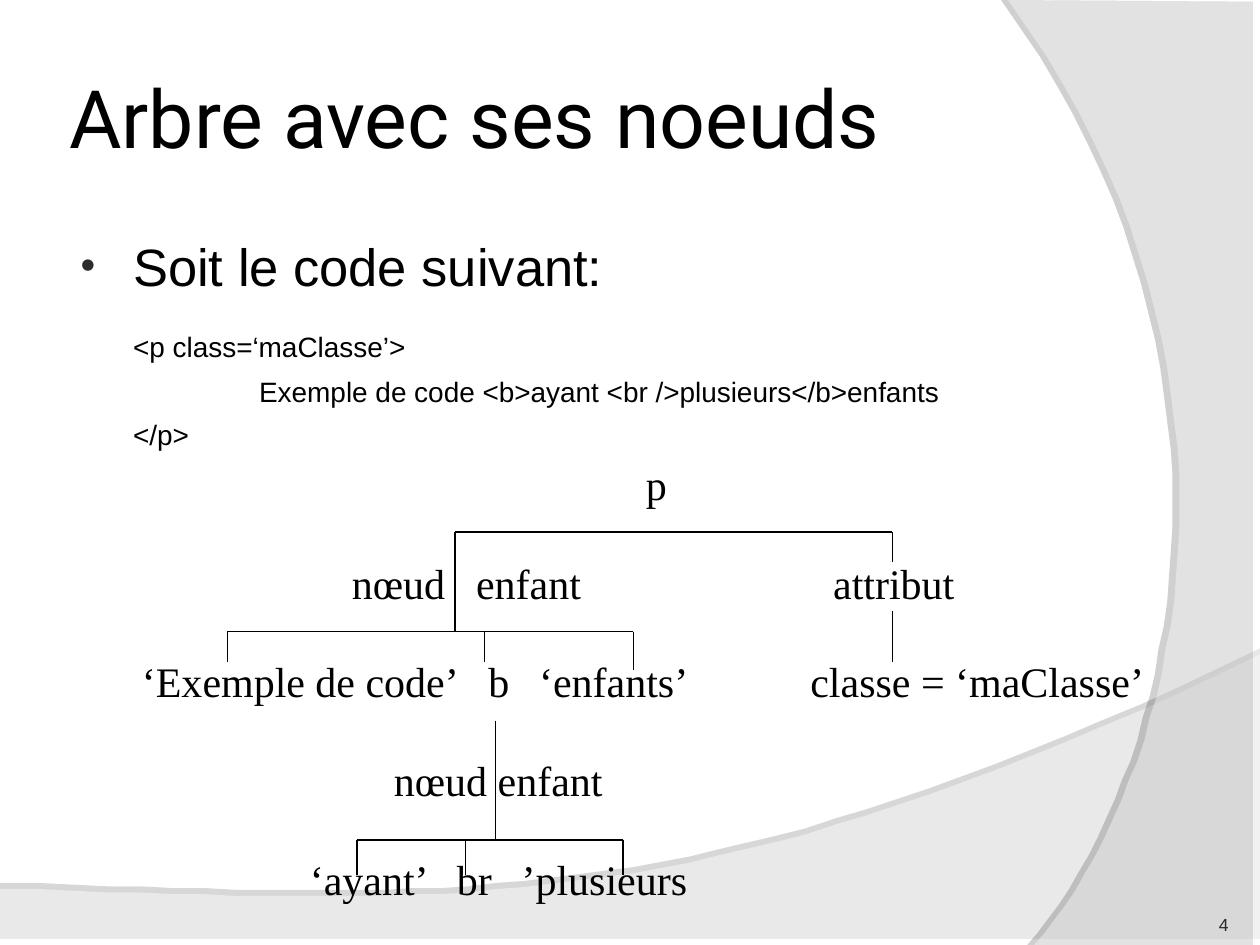
from lxml import etree
from pptx import Presentation
from pptx import util as u
from pptx.dml.color import RGBColor
from pptx.enum import shapes, text
from pptx.oxml import ns

Pt = u.Pt
BLACK = RGBColor(0, 0, 0)
WHITE = RGBColor(255, 255, 255)
GREY = RGBColor(0x29, 0x29, 0x29)
DOT = RGBColor(0x2C, 0x2C, 0x2C)


def sub(node, tag, **attrs):
    child = etree.SubElement(node, ns.qn("a:" + tag))
    for key, val in attrs.items():
        child.set(key, str(val))
    return child


def curve(start, one, two, end, steps=40):
    points = []
    for n in range(1, steps + 1):
        t = n / steps
        s = 1 - t
        points.append(tuple(
            s**3 * a + 3 * s * s * t * b + 3 * s * t * t * c + t**3 * d
            for a, b, c, d in zip(start, one, two, end)))
    return points


class Deck:
    sans = "Arial"
    serif = "Times New Roman"
    head = "Roboto"

    def __init__(self, wide, high):
        self.prs = Presentation()
        self.prs.slide_width, self.prs.slide_height = Pt(wide), Pt(high)
        self.slide = self.prs.slides.add_slide(self.prs.slide_layouts[5])

    def swoosh(self, points, alpha, shade, dist, angle):
        pen = self.slide.shapes.build_freeform(*points[0], scale=Pt(1))
        pen.add_line_segments(points[1:], close=True)
        shape = pen.convert_to_shape()
        shape.fill.solid()
        shape.fill.fore_color.rgb = WHITE
        props = shape._element.spPr
        sub(props.find(".//" + ns.qn("a:srgbClr")), "alpha", val=alpha * 1000)
        shape.line.fill.background()
        shape.shadow.inherit = False
        shadow = sub(props.find(ns.qn("a:effectLst")), "outerShdw", blurRad=0,
                     dist=Pt(dist), dir=angle * 60000, algn="ctr", rotWithShape=0)
        sub(sub(shadow, "srgbClr", val=BLACK), "alpha", val=shade * 1000)

    def place(self, shape, box):
        shape.left, shape.top, shape.width, shape.height = map(Pt, box)

    def style(self, para, font, size, color=BLACK):
        for run in para.runs:
            run.font.name, run.font.size = font, Pt(size)
            run.font.color.rgb = color

    def title(self, words, box):
        shape = self.slide.shapes.title
        self.place(shape, box)
        frame = shape.text_frame
        frame.text = words
        frame.word_wrap = True
        frame.auto_size = text.MSO_AUTO_SIZE.NONE
        frame.vertical_anchor = text.MSO_ANCHOR.MIDDLE
        frame.margin_left = frame.margin_right = Pt(3.6)
        frame.paragraphs[0].alignment = text.PP_ALIGN.LEFT
        self.style(frame.paragraphs[0], self.head, 46)

    def frame(self, box, lines):
        frame = self.slide.shapes.add_textbox(*map(Pt, box)).text_frame
        frame.word_wrap = True
        frame.text = "\n".join(lines)
        return frame

    def code(self, box, lead, rows):
        frame = self.frame(box, [lead] + [row[0] for row in rows])
        first, *rest = frame.paragraphs
        props = first._p.get_or_add_pPr()
        props.set("marL", str(Pt(33)))
        props.set("indent", str(Pt(-30)))
        sub(sub(props, "buClr"), "srgbClr", val=DOT)
        sub(props, "buSzPct", val=80000)
        sub(props, "buFont", typeface=self.sans)
        sub(props, "buChar", char="•")
        self.style(first, self.sans, 30)
        for para, (_, left, gap) in zip(rest, rows):
            para._p.get_or_add_pPr().set("marL", str(Pt(left)))
            para.space_before = Pt(gap)
            self.style(para, self.sans, 16)

    def tree(self, box, rows, gap):
        frame = self.frame(box, ["\t".join([""] * bool(row[0][0]) + [w for _, w in row])
                                 for row in rows])
        for n, (para, row) in enumerate(zip(frame.paragraphs, rows)):
            stops = sub(para._p.get_or_add_pPr(), "tabLst")
            for left, _ in row:
                if left:
                    sub(stops, "tab", pos=Pt(left), algn="l")
            if n:
                para.space_before = Pt(gap)
            self.style(para, self.serif, 24)

    def line(self, *ends):
        line = self.slide.shapes.add_connector(
            shapes.MSO_CONNECTOR.STRAIGHT, *map(Pt, ends))
        line.line.color.rgb = BLACK
        line.line.width = Pt(0.75)
        sub(line._element.spPr, "effectLst")

    def branch(self, top, stems):
        self.line(stems[0][0], top, stems[-1][0], top)
        for left, end in stems:
            self.line(left, top, left, end)

    def number(self, words, box):
        frame = self.frame(box, [words])
        frame.margin_left = frame.margin_right = 0
        frame.margin_top = frame.margin_bottom = 0
        frame.vertical_anchor = text.MSO_ANCHOR.BOTTOM
        frame.paragraphs[0].alignment = text.PP_ALIGN.RIGHT
        self.style(frame.paragraphs[0], self.sans, 10, GREY)


def main():
    deck = Deck(720, 540)
    deck.swoosh([(0, 507.6), (0, 540.5), (720, 540.5), (720, 374.4)]
                + curve((720, 374.4), (402.5, 525), (281.5, 517.7), (0, 507.6)),
                45, 35, 3.5, 270)
    deck.swoosh([(720, 1.4), (720, 540), (591, 540)]
                + curve((591, 540), (673, 445.7), (733, 216), (576, 0)),
                40, 45, 4, 180)
    deck.title("Arbre avec ses noeuds", (36, 21.6, 588, 90))
    deck.code((36, 130, 588, 352), "Soit le code suivant:", [
        ("<p class=‘maClasse’>", 33, 18.5),
        ("Exemple de code <b>ayant <br />plusieurs</b>enfants", 105, 7),
        ("</p>", 33, 5)])
    deck.number("4", (642, 505.5, 60, 29))
    deck.tree((74, 258.5, 592, 266), [
        [(288, "p")],
        [(120, "nœud"), (191, "enfant"), (395, "attribut")],
        [(0, "‘Exemple de code’"), (198, "b"), (227, "‘enfants’"),
         (382, "classe = ‘maClasse’")],
        [(144, "nœud enfant")],
        [(96, "‘ayant’"), (180, "br"), (217, "’plusieurs")]], 27.6)
    deck.branch(304, [(260, 361), (510, 321)])
    deck.branch(361, [(130, 378), (277, 378), (362, 383)])
    deck.branch(480, [(204, 500), (266, 500), (356, 500)])
    deck.line(510, 349, 510, 378)
    deck.line(283, 412, 283, 480)
    deck.prs.save("out.pptx")


if __name__ == "__main__":
    main()
